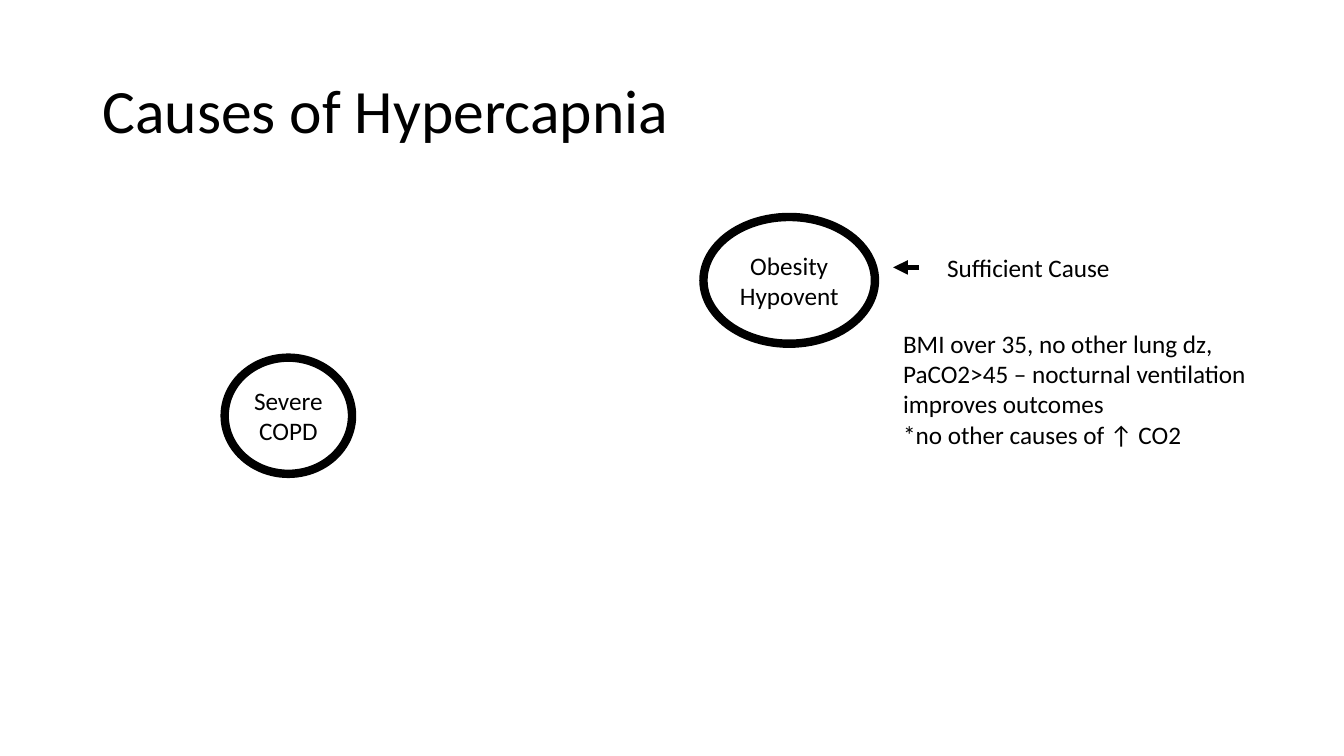
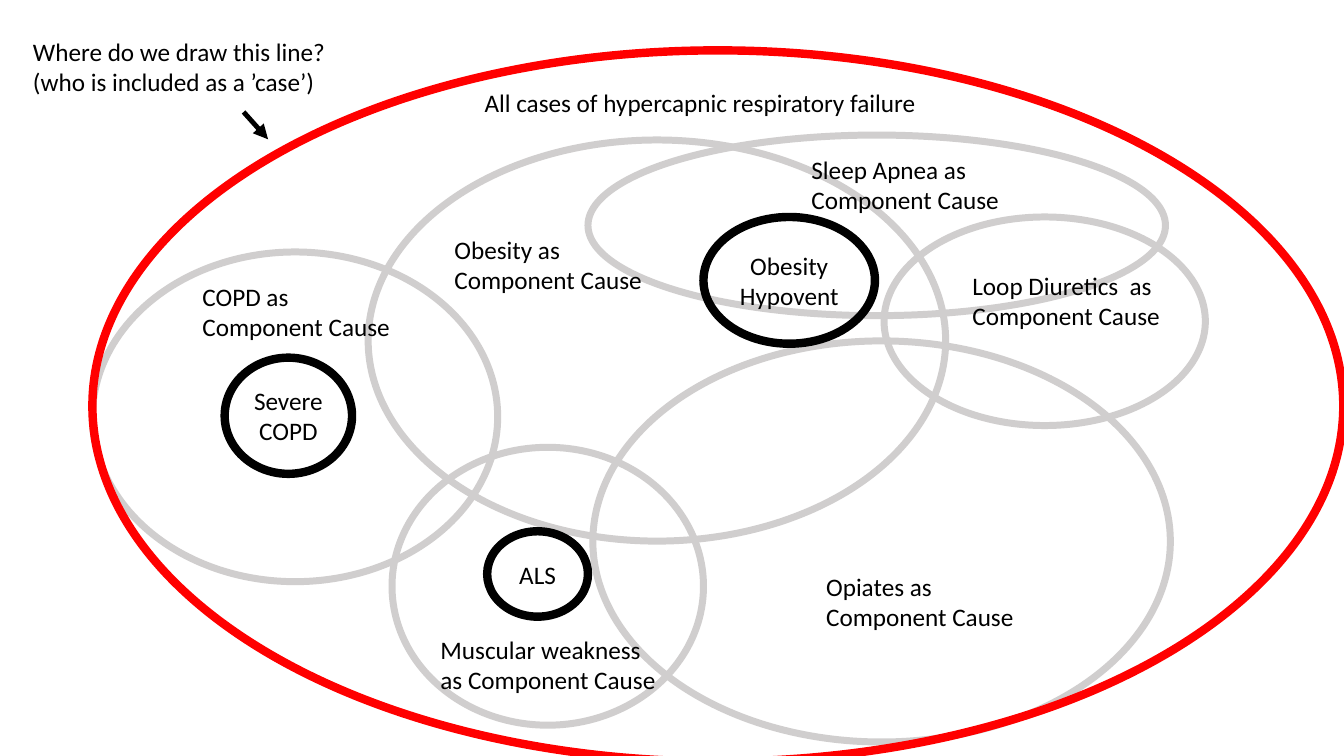
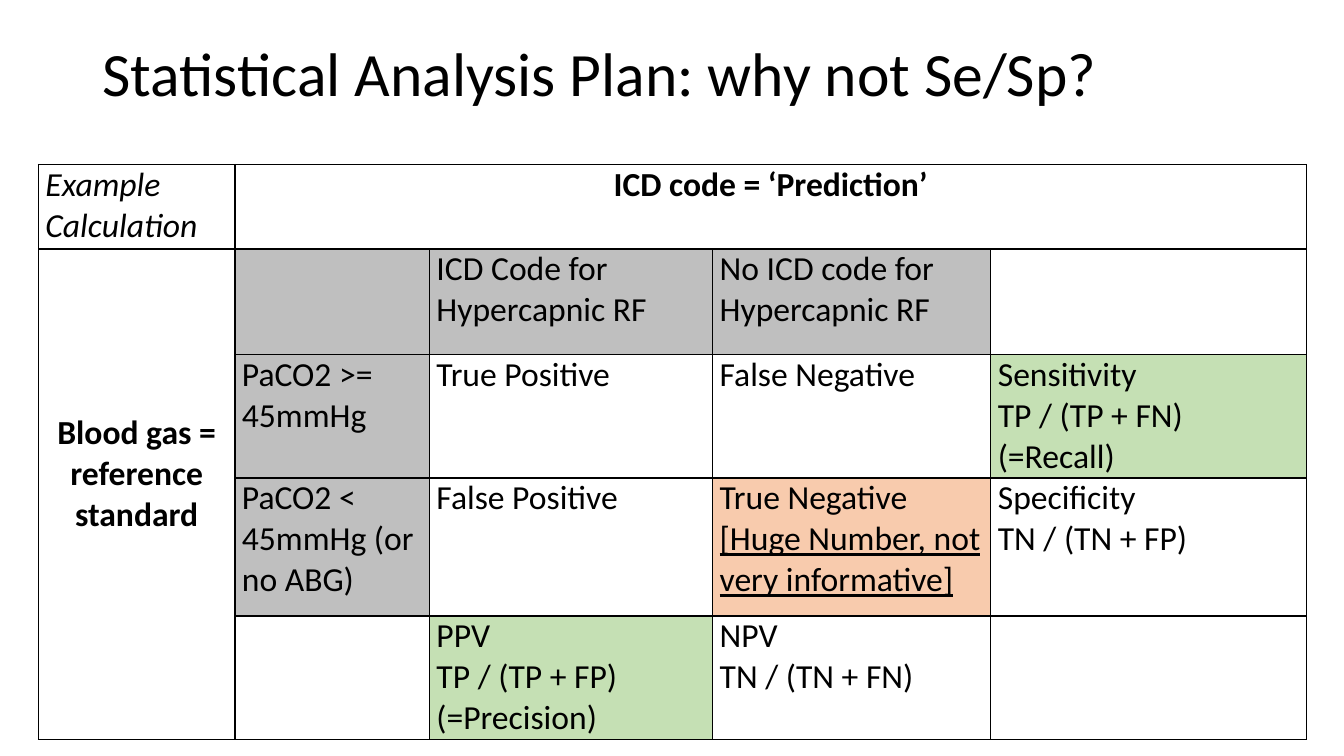
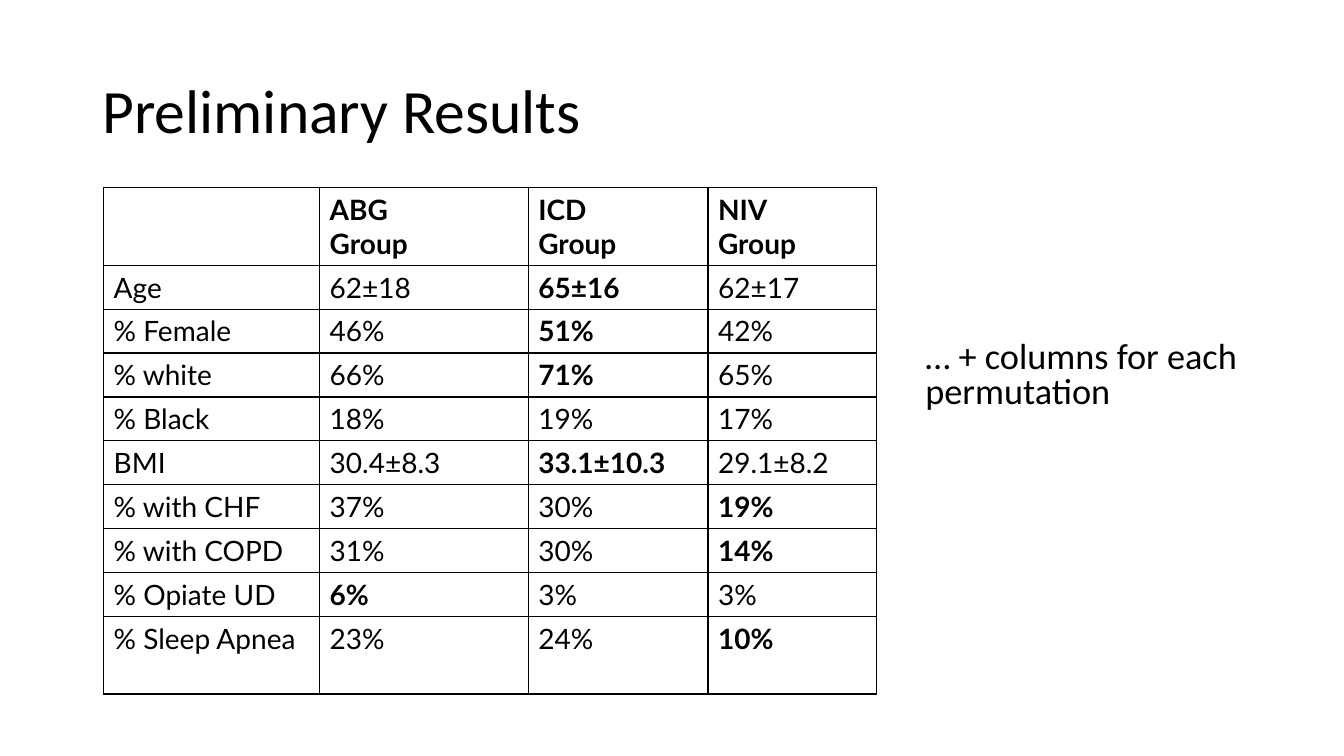
from dataclasses import dataclass

from lxml import etree
from pptx import Presentation
from pptx.dml.color import RGBColor
from pptx.enum.shapes import MSO_CONNECTOR, MSO_SHAPE
from pptx.enum.text import MSO_ANCHOR, MSO_AUTO_SIZE, PP_ALIGN
from pptx.oxml.ns import qn
from pptx.util import Pt

LEFT, CENTER = PP_ALIGN.LEFT, PP_ALIGN.CENTER
TOP, MIDDLE = MSO_ANCHOR.TOP, MSO_ANCHOR.MIDDLE
ELLIPSE, STRAIGHT = MSO_SHAPE.OVAL, MSO_CONNECTOR.STRAIGHT
NO_FIT = MSO_AUTO_SIZE.NONE
TITLE_ONLY, TITLE_AND_BODY, BLANK = 5, 1, 6


@dataclass(frozen=True)
class Theme:
    ink: str = "000000"
    component: str = "D0CECE"
    case: str = "FF0000"
    header: str = "BFBFBF"
    useful: str = "C5E0B4"
    caution: str = "F8CBAD"
    font: str = "Calibri"
    results_font: str = "Lato"
    title_size: float = 44
    note_size: float = 25.9
    grid_size: float = 24
    results_size: float = 20
    label_size: float = 18
    thick: float = 6
    medium: float = 5
    arrow: float = 3.5
    border: float = 1


THEME = Theme()

# Boxes are left, top, width, height in points.
TITLE_BOX = (66, 28.8, 828, 104.4)
RAISED_TITLE_BOX = (66, 2.3, 828, 104.4)

SEVERE_COPD = ("Severe COPD", (160.5, 255.5, 91, 83))
OBESITY_HYPOVENT = ("Obesity Hypovent", (502.5, 155, 122.5, 90.5))
ALS = ("ALS", (348, 379.5, 72, 61))

SUFFICIENT_LABELS = [
    ("Sufficient Cause", (669.5, 176.5, 159, 29)),
    ("BMI over 35, no other lung dz, PaCO2>45 – nocturnal ventilation "
     "improves outcomes\n*no other causes of ↑ CO2", (638, 231, 268.5, 94.5)),
]
SUFFICIENT_ARROW = (656.5, 191, 638, 191)

COMPONENT_CAUSES = [
    (420, 96.5, 412.5, 129),
    (423.5, 243.5, 412.5, 286.5),
    (263, 100, 412.5, 286.5),
    (66, 180, 289.5, 235.5),
    (280, 319.5, 222.5, 198.5),
    (631.5, 155, 229.5, 149),
]
ALL_CASES = (66, 36, 893.5, 508)
COMPONENT_LABELS = [
    ("COPD as Component Cause", (137.5, 197.5, 159, 51)),
    ("Muscular weakness as Component Cause", (307.5, 449.5, 173, 51)),
    ("Obesity as Component Cause", (317.5, 163.5, 173, 51)),
    ("Opiates as Component Cause", (583, 404.5, 173, 51)),
    ("Loop Diuretics  as Component Cause", (687.5, 189.5, 173, 51)),
    ("All cases of hypercapnic respiratory failure", (339, 58.5, 326, 29)),
    ("Where do we draw this line? (who is included as a ’case’)",
     (16.5, 22.5, 224, 51)),
    ("Sleep Apnea as Component Cause", (572.5, 106.5, 173, 51)),
]
CASE_ARROW = (174, 80, 191.5, 99.5)

ACCURACY_ORIGIN = (27.4, 117.4)
ACCURACY_COLUMNS = [140.4, 139, 202.3, 198.7, 225.4]
ACCURACY_ROWS = [60.5, 75.6, 88, 98.6, 88]
ACCURACY = [
    ["Example Calculation", "ICD code = ‘Prediction’", "", "", ""],
    ["Blood gas = reference standard", "", "ICD Code for Hypercapnic RF",
     "No ICD code for Hypercapnic RF", ""],
    ["", "PaCO2 >= 45mmHg", "True Positive", "False Negative",
     "Sensitivity\nTP / (TP + FN)\n(=Recall)"],
    ["", "PaCO2 < 45mmHg (or no ABG)", "False Positive",
     "True Negative\n[Huge Number, not very informative]",
     "Specificity\nTN / (TN + FP)"],
    ["", "", "PPV\nTP / (TP + FP)\n(=Precision)",
     "NPV\nTN / (TN + FN)", ""],
]
ACCURACY_FILLS = {
    (1, 1): THEME.header, (1, 2): THEME.header, (1, 3): THEME.header,
    (2, 1): THEME.header, (3, 1): THEME.header,
    (2, 4): THEME.useful, (4, 2): THEME.useful, (3, 3): THEME.caution,
}
ACCURACY_STYLES = {
    (0, 0): {"italic": True}, (0, 1): {"bold": True}, (1, 0): {"bold": True},
}
ACCURACY_MARGINS = {"margin_left": Pt(5), "margin_right": Pt(5),
                    "margin_top": 0, "margin_bottom": 0}
TRUE_NEGATIVE = (3, 3)

RESULTS_ORIGIN = (74, 134)
RESULTS_COLUMNS = [154.3, 149, 128.4, 120.6]
RESULTS_TALL_ROW, RESULTS_ROW = 55.4, 31.3
RESULTS_HEADINGS = ["", "ABG\nGroup", "ICD\nGroup", "NIV\nGroup"]
RESULTS = [  # measure, ABG, ICD, NIV, column in bold
    ("Age", "62±18", "65±16", "62±17", 2),
    ("% Female", "46%", "51%", "42%", 2),
    ("% white", "66%", "71%", "65%", 2),
    ("% Black", "18%", "19%", "17%", None),
    ("BMI", "30.4±8.3", "33.1±10.3", "29.1±8.2", 2),
    ("% with CHF", "37%", "30%", "19%", 3),
    ("% with COPD", "31%", "30%", "14%", 3),
    ("% Opiate UD", "6%", "3%", "3%", 1),
    ("% Sleep Apnea", "23%", "24%", "10%", 3),
]
PERMUTATION_NOTE = ("… + columns for each permutation", (653.8, 240.5, 257.8, 60))


def points(values):
    return [Pt(value) for value in values]


def apply(target, **values):
    for name, value in values.items():
        setattr(target, name, value)


def write(frame, text, size, align=LEFT, spacing=None, font=THEME.font, **style):
    """Fill a text frame, one paragraph for each line of the text."""
    for index, line in enumerate(text.split("\n")):
        paragraph = frame.add_paragraph() if index else frame.paragraphs[0]
        apply(paragraph, alignment=align, space_before=Pt(0))
        if spacing:
            paragraph.line_spacing = spacing
        run = paragraph.add_run()
        run.text = line
        apply(run.font, name=font, size=Pt(size), **style)
        run.font.color.rgb = RGBColor.from_string(THEME.ink)


def place(shape, box):
    apply(shape, **dict(zip(("left", "top", "width", "height"), points(box))))


def add_titled_slide(deck, text, layout=TITLE_ONLY, box=TITLE_BOX):
    slide = deck.slides.add_slide(deck.slide_layouts[layout])
    title = slide.shapes.title
    place(title, box)
    apply(title.text_frame, auto_size=NO_FIT, vertical_anchor=MIDDLE)
    write(title.text_frame, text, THEME.title_size, spacing=0.9)
    return slide


def add_ellipse(slide, box, color=THEME.ink, width=THEME.thick, text=""):
    ellipse = slide.shapes.add_shape(ELLIPSE, *points(box))
    ellipse.shadow.inherit = False
    ellipse.fill.background()
    ellipse.line.color.rgb = RGBColor.from_string(color)
    ellipse.line.width = Pt(width)
    if text:
        apply(ellipse.text_frame, word_wrap=True, vertical_anchor=MIDDLE)
        write(ellipse.text_frame, text, THEME.label_size, CENTER)


def add_sufficient_causes(slide, causes):
    for text, box in causes:
        add_ellipse(slide, box, text=text)


def add_labels(slide, labels):
    for text, box in labels:
        frame = slide.shapes.add_textbox(*points(box)).text_frame
        frame.word_wrap = True
        write(frame, text, THEME.label_size)


def add_arrow(slide, ends):
    arrow = slide.shapes.add_connector(STRAIGHT, *points(ends))
    arrow.line.color.rgb = RGBColor.from_string(THEME.ink)
    arrow.line.width = Pt(THEME.arrow)
    etree.SubElement(arrow.line._get_or_add_ln(), qn("a:tailEnd"), type="triangle")
    etree.SubElement(arrow._element.spPr, qn("a:effectLst"))


def add_borders(cell):
    properties = cell._tc.get_or_add_tcPr()
    for index, side in enumerate(("lnL", "lnR", "lnT", "lnB")):
        line = etree.Element(qn(f"a:{side}"), w=str(Pt(THEME.border)))
        fill = etree.SubElement(line, qn("a:solidFill"))
        etree.SubElement(fill, qn("a:srgbClr"), val=THEME.ink)
        properties.insert(index, line)


def add_grid(slide, origin, columns, rows, fills):
    """Add an empty bordered table, with fills keyed by row and column."""
    table = slide.shapes.add_table(
        len(rows), len(columns),
        *points((*origin, sum(columns), sum(rows)))).table
    apply(table, first_row=False, horz_banding=False)
    for column, width in zip(table.columns, columns):
        column.width = Pt(width)
    for r, height in enumerate(rows):
        table.rows[r].height = Pt(height)
        for c in range(len(columns)):
            cell = table.cell(r, c)
            if (r, c) in fills:
                cell.fill.solid()
                cell.fill.fore_color.rgb = RGBColor.from_string(fills[r, c])
            else:
                cell.fill.background()
            add_borders(cell)
    return table


def build_causes(deck):
    slide = add_titled_slide(deck, "Causes of Hypercapnia")
    add_sufficient_causes(slide, [SEVERE_COPD, OBESITY_HYPOVENT])
    add_labels(slide, SUFFICIENT_LABELS)
    add_arrow(slide, SUFFICIENT_ARROW)


def build_case_map(deck):
    slide = deck.slides.add_slide(deck.slide_layouts[BLANK])
    for box in COMPONENT_CAUSES:
        add_ellipse(slide, box, THEME.component, THEME.medium)
    add_sufficient_causes(slide, [SEVERE_COPD, OBESITY_HYPOVENT, ALS])
    add_ellipse(slide, ALL_CASES, THEME.case)
    add_labels(slide, COMPONENT_LABELS)
    add_arrow(slide, CASE_ARROW)


def build_accuracy(deck):
    slide = add_titled_slide(deck, "Statistical Analysis Plan: why not Se/Sp?",
                             box=RAISED_TITLE_BOX)
    table = add_grid(slide, ACCURACY_ORIGIN, ACCURACY_COLUMNS, ACCURACY_ROWS,
                     ACCURACY_FILLS)
    table.cell(0, 1).merge(table.cell(0, 4))
    table.cell(1, 0).merge(table.cell(4, 0))
    for r, row in enumerate(ACCURACY):
        for c, text in enumerate(row):
            cell = table.cell(r, c)
            apply(cell, **ACCURACY_MARGINS)
            if text:
                style = ACCURACY_STYLES.get((r, c), {})
                write(cell.text_frame, text, THEME.grid_size,
                      CENTER if "bold" in style else LEFT, **style)
    apply(table.cell(1, 0), vertical_anchor=MIDDLE, margin_bottom=Pt(29))
    remark = table.cell(*TRUE_NEGATIVE).text_frame.paragraphs[1]
    remark.runs[0].font.underline = True


def build_results(deck):
    slide = add_titled_slide(deck, "Preliminary Results", TITLE_AND_BODY)
    rows = [RESULTS_ROW] * (len(RESULTS) + 1)
    rows[0] = rows[-1] = RESULTS_TALL_ROW
    table = add_grid(slide, RESULTS_ORIGIN, RESULTS_COLUMNS, rows, {})
    for r, row in enumerate([(*RESULTS_HEADINGS, None), *RESULTS]):
        *texts, highlighted = row
        for c, text in enumerate(texts):
            if text:
                write(table.cell(r, c).text_frame, text, THEME.results_size,
                      font=THEME.results_font, bold=r == 0 or c == highlighted)

    text, box = PERMUTATION_NOTE
    note = slide.placeholders[1]
    place(note, box)
    apply(note.text_frame, auto_size=NO_FIT, vertical_anchor=TOP)
    properties = note.text_frame.paragraphs[0]._p.get_or_add_pPr()
    apply_indent = {"marL": "0", "indent": "0"}
    for name, value in apply_indent.items():
        properties.set(name, value)
    etree.SubElement(properties, qn("a:buNone"))
    write(note.text_frame, text, THEME.note_size, spacing=0.8)


def main():
    deck = Presentation()
    apply(deck, slide_width=Pt(960), slide_height=Pt(540))
    for build in (build_causes, build_case_map, build_accuracy, build_results):
        build(deck)
    deck.save("out.pptx")


if __name__ == "__main__":
    main()
